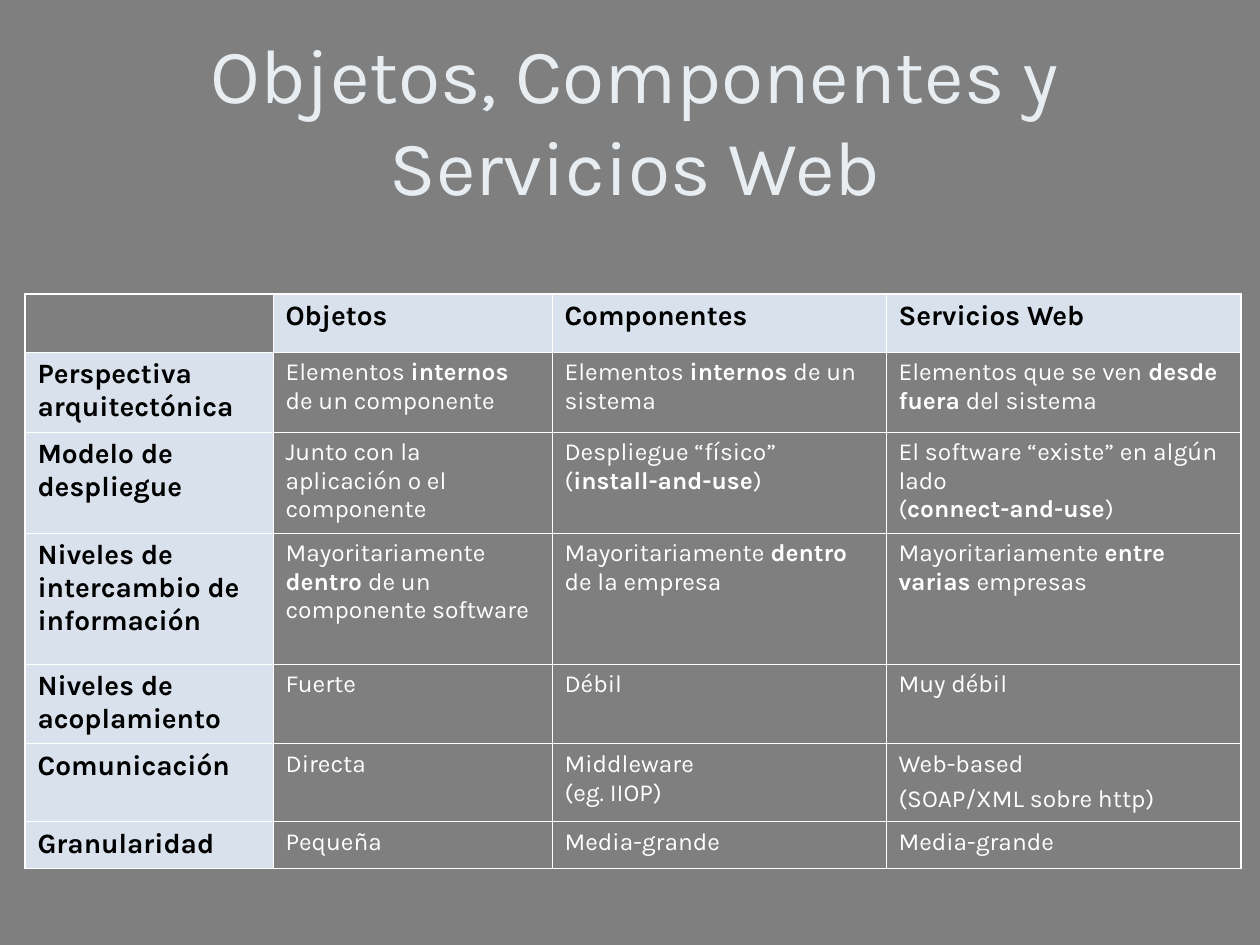
from lxml import etree
from pptx import Presentation
from pptx.dml.color import RGBColor
from pptx.enum.text import MSO_ANCHOR, PP_ALIGN
from pptx.oxml.ns import qn
from pptx.util import Emu, Pt

PX = 914400 // 126
CENTER, LEFT = PP_ALIGN.CENTER, PP_ALIGN.LEFT
MIDDLE = MSO_ANCHOR.MIDDLE
FONT = "Karla"
GREY, WHITE, BLACK = "7F7F7F", "FFFFFF", "000000"
TITLE_COLOR, HEAD_FILL = "E8EDF2", "D8E1EC"
THIN, THICK = 0.45, 1.08

COLS = [248, 279, 334, 355]
ROWS = [58, 80, 101, 131, 79, 78, 47]
# ** switches bold, \v breaks a line, \n starts a paragraph
CELLS = [
    ["", "Objetos", "Componentes", "Servicios Web"],
    ["Perspectiva arquitectónica",
     "Elementos **internos** de un componente",
     "Elementos **internos** de un sistema",
     "Elementos que se ven **desde fuera** del sistema"],
    ["Modelo de despliegue",
     "Junto con la aplicación o el componente",
     "Despliegue “físico”\v(**install-and-use**)",
     "El software “existe” en algún lado\v(**connect-and-use**)"],
    ["Niveles de intercambio de información",
     "Mayoritariamente **dentro** de un componente software",
     "Mayoritariamente **dentro** de la empresa",
     "Mayoritariamente **entre varias** empresas"],
    ["Niveles de acoplamiento", "Fuerte", "Débil", "Muy débil"],
    ["Comunicación", "Directa", "Middleware\v(eg. IIOP)",
     "Web-based\n(SOAP/XML sobre http)"],
    ["Granularidad", "Pequeña", "Media-grande", "Media-grande"],
]


def px(n):
    return Emu(n * PX)


def rgb(value):
    return RGBColor.from_string(value)


def write(tf, text, size=14, color=WHITE, bold=False, align=LEFT, before=0):
    """Fill a text frame and return its runs."""
    runs = []
    for i, line in enumerate(text.split("\n")):
        p = tf.paragraphs[0] if i == 0 else tf.add_paragraph()
        p.alignment = align
        if i:
            p.space_before = Pt(before)
        for j, part in enumerate(line.split("**")):
            for k, piece in enumerate(part.split("\v")):
                if k:
                    p.add_line_break()
                if not piece:
                    continue
                r = p.add_run()
                r.text = piece
                r.font.name, r.font.size = FONT, Pt(size)
                r.font.bold = bold or j % 2 == 1
                r.font.color.rgb = rgb(color)
                runs.append(r)
    return runs


def add_text_shadow(r):
    effects = etree.Element(qn("a:effectLst"))
    shadow = etree.SubElement(effects, qn("a:outerShdw"),
                              dist="17961", dir="2700000")
    etree.SubElement(shadow, qn("a:srgbClr"), val=BLACK)
    r.font.fill._xPr.find(qn("a:solidFill")).addnext(effects)


def set_borders(cell, widths):
    """Draw the left, right, top and bottom borders, in points."""
    tc_pr = cell._tc.get_or_add_tcPr()
    for i, (side, width) in enumerate(zip("LRTB", widths)):
        ln = etree.Element(qn(f"a:ln{side}"), w=str(Pt(width)))
        fill = etree.SubElement(ln, qn("a:solidFill"))
        etree.SubElement(fill, qn("a:srgbClr"), val=WHITE)
        tc_pr.insert(i, ln)


def add_title(slide, x, y, w, h):
    sp = slide.shapes.add_textbox(px(x), px(y), px(w), px(h))
    tf = sp.text_frame
    tf.word_wrap = True
    tf.vertical_anchor = MIDDLE
    for r in write(tf, "Objetos, Componentes y Servicios Web",
                   size=44, color=TITLE_COLOR, align=CENTER):
        add_text_shadow(r)


def add_comparison(slide, x, y):
    n_rows, n_cols = len(ROWS), len(COLS)
    table = slide.shapes.add_table(n_rows, n_cols, px(x), px(y),
                                   px(sum(COLS)), px(sum(ROWS))).table
    table.first_row = table.horz_banding = False
    for col, width in zip(table.columns, COLS):
        col.width = px(width)
    for row, height in zip(table.rows, ROWS):
        row.height = px(height)

    for i, texts in enumerate(CELLS):
        for j, text in enumerate(texts):
            cell = table.cell(i, j)
            # Headings run along the top and left; the corner stays empty
            if text and (i == 0 or j == 0):
                cell.fill.solid()
                cell.fill.fore_color.rgb = rgb(HEAD_FILL)
                write(cell.text_frame, text, size=16, color=BLACK, bold=True)
            else:
                cell.fill.background()
                write(cell.text_frame, text, before=3.5)
            outer = (j == 0, j == n_cols - 1, i == 0, i == n_rows - 1)
            set_borders(cell, [THICK if edge else THIN for edge in outer])


def main():
    prs = Presentation()
    prs.slide_width, prs.slide_height = px(1260), px(945)
    slide = prs.slides.add_slide(prs.slide_layouts[6])
    slide.background.fill.solid()
    slide.background.fill.fore_color.rgb = rgb(GREY)

    # Title
    add_title(slide, 105, 45, 1061, 147)
    # Comparison table
    add_comparison(slide, 25, 294)

    prs.save("out.pptx")


if __name__ == "__main__":
    main()
